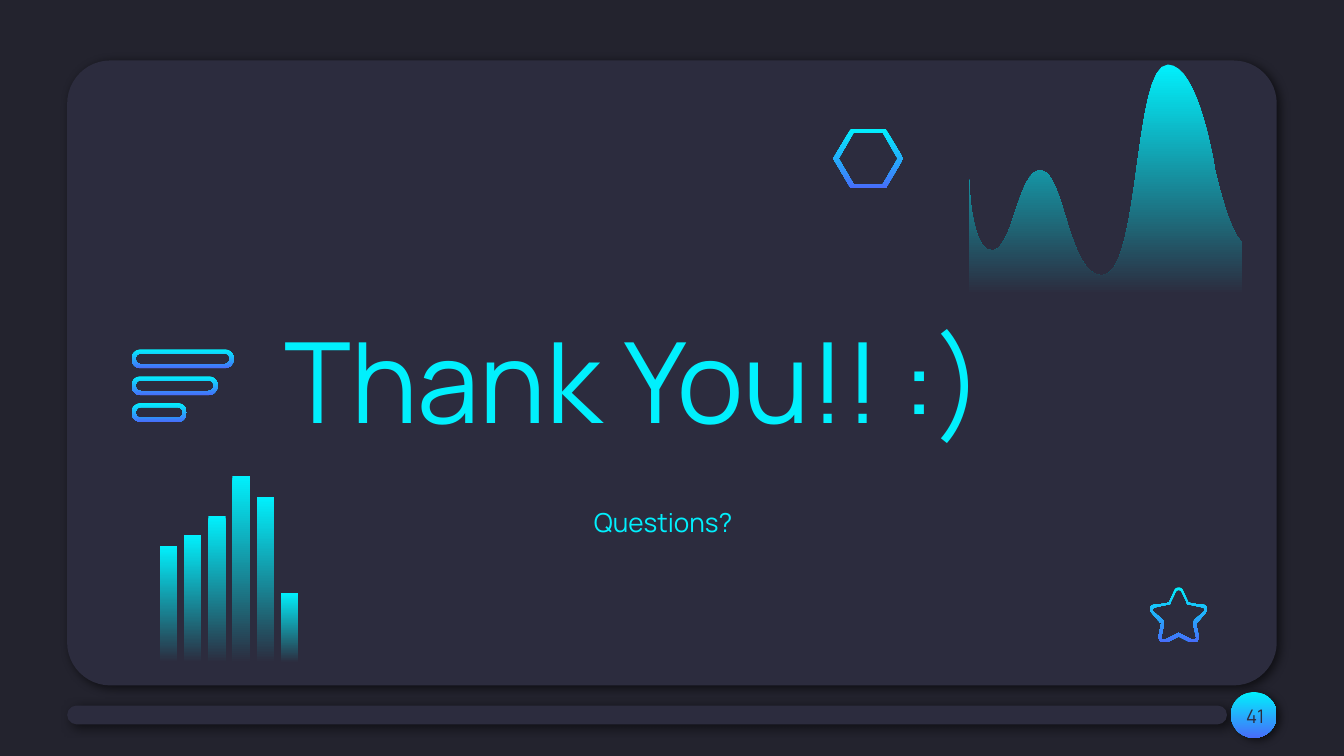
from math import cos, radians, sin

from lxml import etree
from pptx import Presentation
from pptx.dml.color import RGBColor
from pptx.enum import shapes, text
from pptx.util import Inches, Pt

HUE = {"back": "23232E", "panel": "2C2C3E", "cyan": "01F0FD", "blue": "476DFA"}
FONT = "Manrope"
SHADE = (
    '<a:effectLst xmlns:a="http://schemas.openxmlformats.org/drawingml/2006/main">'
    '<a:outerShdw blurRad="{blur}" dist="{dist}" dir="1980000" algn="bl" rotWithShape="0">'
    '<a:srgbClr val="000000"><a:alpha val="60000"/></a:srgbClr>'
    "</a:outerShdw></a:effectLst>"
)


def write(shape, words, size=14, hue="cyan", anchor=text.MSO_ANCHOR.TOP):
    frame = shape.text_frame
    frame.word_wrap = True
    frame.auto_size = text.MSO_AUTO_SIZE.NONE
    frame.vertical_anchor = anchor
    frame.margin_left = frame.margin_right = Inches(0.1)
    frame.margin_top = frame.margin_bottom = Inches(0.1)
    para = frame.paragraphs[0]
    para.alignment = text.PP_ALIGN.CENTER
    run = para.add_run()
    run.text = words
    run.font.name = FONT
    run.font.size = Pt(size)
    run.font.color.rgb = RGBColor.from_string(HUE[hue])


def trace(steps, parts=16):
    """Turn line steps (x, y) and Bezier steps (six numbers) into points."""
    points = [steps[0]]
    for step in steps[1:]:
        if len(step) == 2:
            points.append(step)
            continue
        knots = [points[-1], step[:2], step[2:4], step[4:]]
        for i in range(1, parts + 1):
            t = i / parts
            mix = ((1 - t) ** 3, 3 * t * (1 - t) ** 2, 3 * t * t * (1 - t), t ** 3)
            points.append(tuple(sum(m * k[a] for m, k in zip(mix, knots)) for a in (0, 1)))
    return points


prs = Presentation()
prs.slide_width = Inches(10)
prs.slide_height = Inches(10) * 9 // 16
slide = prs.slides.add_slide(prs.slide_layouts[5])
slide.background.fill.solid()
slide.background.fill.fore_color.rgb = RGBColor.from_string(HUE["back"])
items = slide.shapes
glow = []  # shapes with a vertical gradient, each with its lower colour

# Panel, progress bar and page badge
KIND = shapes.MSO_SHAPE
for kind, box, round_by, blur in (
    (KIND.ROUNDED_RECTANGLE, (0.5, 0.45, 9, 4.65), 0.069, 5.6),
    (KIND.ROUNDED_RECTANGLE, (0.5, 5.25, 8.63, 0.14), 0.5, 5.6),
    (KIND.OVAL, (9.16, 5.15, 0.34, 0.34), None, 4.5),
):
    shape = items.add_shape(kind, *map(Inches, box))
    shape.line.fill.background()
    if round_by is None:
        glow.append((shape, "blue"))
    else:
        shape.adjustments[0] = round_by
        shape.fill.solid()
        shape.fill.fore_color.rgb = RGBColor.from_string(HUE["panel"])
    cast = SHADE.format(blur=Pt(blur), dist=Pt(2.2))
    shape.element.spPr.append(etree.fromstring(cast))

# Text
page = items.add_textbox(*map(Inches, (9.04, 5.11, 0.6, 0.43)))
write(page, "41", size=10, hue="panel", anchor=text.MSO_ANCHOR.MIDDLE)
title = items.title
title.left, title.top, title.width, title.height = map(Inches, (1.9, 1.81, 5.64, 2.01))
write(title, "Thank You!! :)", size=60, anchor=text.MSO_ANCHOR.MIDDLE)
items.element.append(title.element)  # in front of the panel
ask = items.add_textbox(*map(Inches, (1.8, 3.67, 6.27, 0.44)))
write(ask, "Questions?")

# Outlines: the rings of each shape, and its lower colour
wave = trace([
    (9.24, 2.19), (7.21, 2.19), (7.21, 1.33),
    (7.22, 1.6, 7.27, 1.84, 7.36, 1.86),
    (7.54, 1.92, 7.57, 1.24, 7.75, 1.27),
    (7.92, 1.29, 7.95, 2.05, 8.2, 2.05),
    (8.49, 2.05, 8.43, 0.48, 8.69, 0.48),
    (8.92, 0.48, 9.04, 1.26, 9.04, 1.26),
    (9.04, 1.26, 9.14, 1.72, 9.24, 1.8),
])
outlines = [([wave], "panel")]

MID = 8.77
halves = (
    [(MID, 4.37), (8.78, 4.37, 8.8, 4.38, 8.8, 4.39), (8.84, 4.48),
     (8.84, 4.48, 8.85, 4.48, 8.86, 4.49), (8.95, 4.5),
     (8.97, 4.5, 8.98, 4.51, 8.98, 4.52), (8.99, 4.54, 8.98, 4.55, 8.97, 4.56),
     (8.91, 4.63), (8.9, 4.63, 8.9, 4.64, 8.9, 4.64), (8.92, 4.74),
     (8.92, 4.75, 8.91, 4.77, 8.9, 4.78), (8.89, 4.78, 8.87, 4.78, 8.86, 4.78),
     (8.78, 4.74), (MID, 4.73)],
    [(MID, 4.39), (8.77, 4.39, 8.78, 4.39, 8.79, 4.4), (8.83, 4.48),
     (8.83, 4.5, 8.84, 4.5, 8.86, 4.5), (8.95, 4.52),
     (8.95, 4.52, 8.96, 4.52, 8.96, 4.53), (8.97, 4.54, 8.96, 4.55, 8.96, 4.55),
     (8.89, 4.61), (8.88, 4.62, 8.88, 4.64, 8.88, 4.65), (8.9, 4.74),
     (8.9, 4.75, 8.9, 4.75, 8.89, 4.76), (8.89, 4.76, 8.87, 4.76, 8.87, 4.76),
     (8.79, 4.72), (8.78, 4.71, 8.77, 4.71, MID, 4.71)],
)
star = []
for half in halves:
    right = trace(half, parts=6)
    star.append(right + [(2 * MID - x, y) for x, y in reversed(right)])
outlines.append((star, "blue"))

for row, width in enumerate((0.76, 0.64, 0.41)):
    x, y, rim = 0.98, 2.67 + 0.2 * row, 0.07
    pill = []
    for r in (0.07, 0.04):
        caps = ((x + width - rim, -90), (x + rim, 90))
        pill.append([(cx + r * cos(radians(start + a)), y + r * sin(radians(start + a)))
                     for cx, start in caps for a in range(0, 181, 10)])
    outlines.append((pill, "blue"))

hexagon = []
for wide, flat, high in ((0.26, 0.13, 0.22), (0.22, 0.11, 0.19)):
    corners = ((-flat, -high), (-wide, 0), (-flat, high), (flat, high), (wide, 0), (flat, -high))
    hexagon.append([(6.46 + x, 1.18 + y) for x, y in corners])
outlines.append((hexagon, "blue"))

for rings, low in outlines:
    pen = None
    for ring in rings:
        first, *rest = [(Inches(x), Inches(y)) for x, y in ring]
        if pen is None:
            pen = items.build_freeform(*first)
        else:
            pen.move_to(*first)
        pen.add_line_segments(rest, close=True)
    glow.append((pen.convert_to_shape(), low))

# Bars standing on one base line, right to left
BASE, LAST, STEP = 4.93, 2.09, 0.18
for i, high in enumerate((0.52, 1.23, 1.39, 1.09, 0.95, 0.87)):
    box = (LAST - STEP * i, BASE - high, 0.13, high)
    glow.append((items.add_shape(KIND.RECTANGLE, *map(Inches, box)), "panel"))

for shape, low in glow:
    shape.line.fill.background()
    shape.fill.gradient()
    shape.fill.gradient_angle = 270
    for stop, hue in zip(shape.fill.gradient_stops, ("cyan", low)):
        stop.color.rgb = RGBColor.from_string(HUE[hue])
    if shape.element.spPr.find("{*}effectLst") is None:
        shape.shadow.inherit = False

prs.save("out.pptx")
